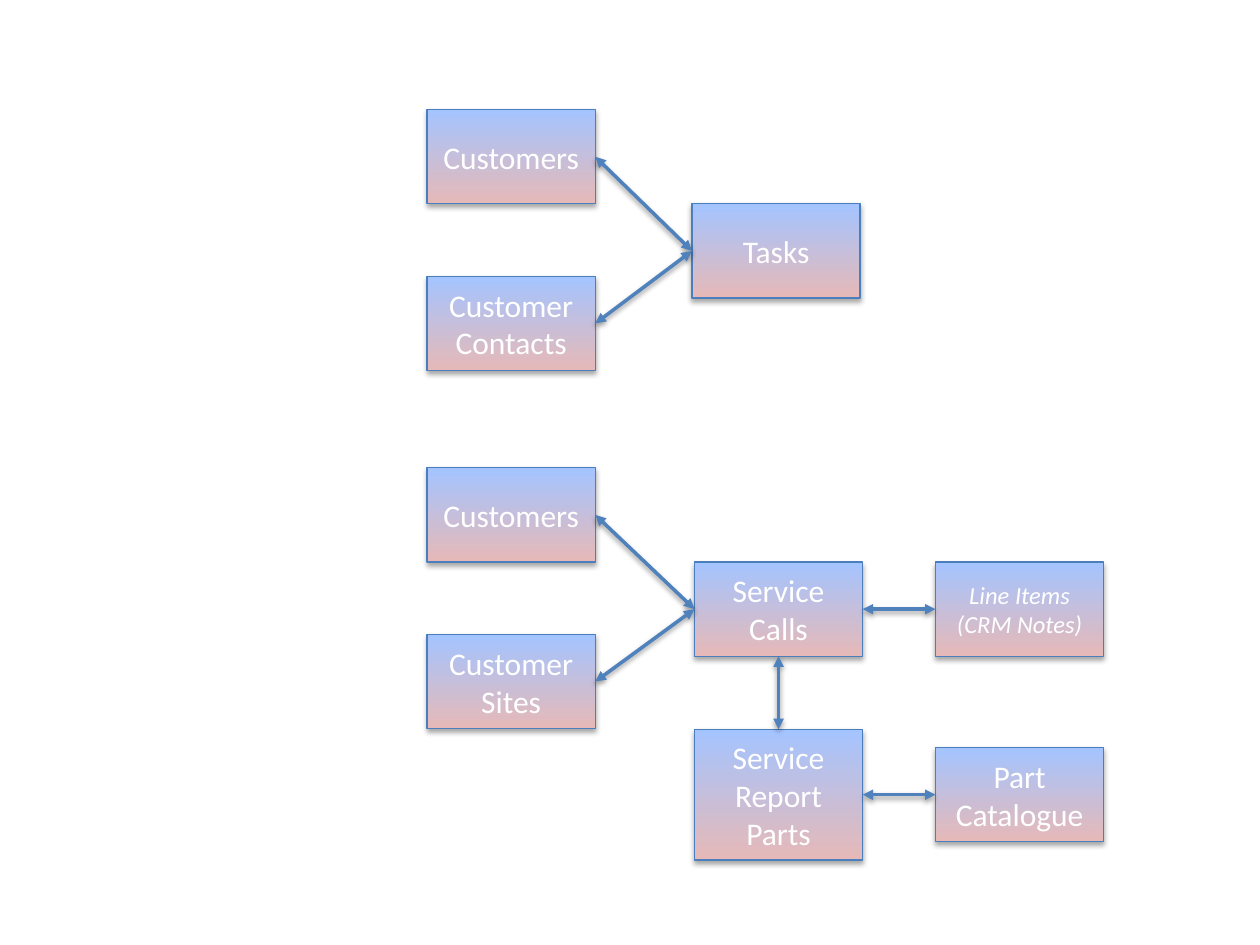
"""Draw two entity link charts, one for tasks and one for service calls."""
import lxml.etree
import pptx
import pptx.dml.color
import pptx.enum.shapes
import pptx.enum.text
import pptx.oxml.ns
import pptx.util

Cm = pptx.util.Cm
Pt = pptx.util.Pt
qn = pptx.oxml.ns.qn
HUES = {"base": "E6B9B8", "top": "A4C4FF", "edge": "4B7EBC",
        "link": "4F81BD", "text": "FFFFFF", "shade": "000000"}
WIDE, HIGH = 3.39, 1.9
TOP, LEFT, DOWN, RIGHT = range(4)


def hue(name):
    return pptx.dml.color.RGBColor.from_string(HUES[name])


def write(shape, text, size=18, italic=False, color="text", face="Calibri"):
    frame = shape.text_frame
    frame.word_wrap = True
    frame.vertical_anchor = pptx.enum.text.MSO_ANCHOR.MIDDLE
    frame.text = text
    for para in frame.paragraphs:
        para.alignment = pptx.enum.text.PP_ALIGN.CENTER
        font = para.runs[0].font
        font.name, font.size, font.italic = face, Pt(size), italic
        font.color.rgb = hue(color)


class Chart:
    def __init__(self, slide):
        self.slide = slide

    def shade(self, item, dist, alpha):
        list_ = lxml.etree.SubElement(item._element.spPr, qn("a:effectLst"))
        cast = lxml.etree.SubElement(
            list_, qn("a:outerShdw"), blurRad=str(Pt(3.1)), dist=str(Pt(dist)),
            dir="5400000", rotWithShape="0")
        tone = lxml.etree.SubElement(cast, qn("a:srgbClr"), val=HUES["shade"])
        lxml.etree.SubElement(tone, qn("a:alpha"), val=str(alpha * 1000))

    def box(self, text, left, top, high=HIGH, **style):
        kind = pptx.enum.shapes.MSO_SHAPE.RECTANGLE
        shape = self.slide.shapes.add_shape(
            kind, Cm(left), Cm(top), Cm(WIDE), Cm(high))
        shape.fill.gradient()
        shape.fill.gradient_angle = 90
        for stop, name, place in zip(
                shape.fill.gradient_stops, ("base", "top"), (0, 1)):
            stop.color.rgb = hue(name)
            stop.position = place
        shape.line.color.rgb = hue("edge")
        shape.line.width = Pt(0.75)
        self.shade(shape, 1.8, 35)
        write(shape, text, **style)
        return shape

    def link(self, start, end, out=RIGHT, into=LEFT):
        kind = pptx.enum.shapes.MSO_CONNECTOR.STRAIGHT
        line = self.slide.shapes.add_connector(kind, 0, 0, 0, 0)
        line.begin_connect(start, out)
        line.end_connect(end, into)
        line.line.color.rgb = hue("link")
        line.line.width = Pt(2)
        edge = line._element.spPr.find(qn("a:ln"))
        for tip in ("a:headEnd", "a:tailEnd"):
            lxml.etree.SubElement(edge, qn(tip), type="triangle")
        self.shade(line, 1.6, 38)

    def merge(self, upper, lower, goal, top, left):
        first = self.box(upper, 8.61, top)
        second = self.box(lower, 8.61, top + 3.36)
        hub = self.box(goal, left, top + HIGH)
        self.link(first, hub)
        self.link(second, hub)
        return hub


def main():
    deck = pptx.Presentation()
    deck.slide_width, deck.slide_height = Cm(25.4), Cm(19.05)
    chart = Chart(deck.slides.add_slide(deck.slide_layouts[6]))
    chart.merge("Customers", "Customer\nContacts", "Tasks", 2.21, 13.95)
    calls = chart.merge("Customers", "Customer\nSites", "Service\nCalls",
                        9.43, 14)
    report = chart.box("Service\nReport\nParts", 14, 14.7, high=2.64)
    chart.link(calls, report, DOWN, TOP)
    parts = chart.box("Part Catalogue", 18.86, 15.07)
    chart.link(report, parts)
    items = chart.box("Line Items\n(CRM Notes)", 18.86, 9.43 + HIGH,
                      size=14, italic=True)
    chart.link(calls, items)
    deck.save("out.pptx")


if __name__ == "__main__":
    main()
